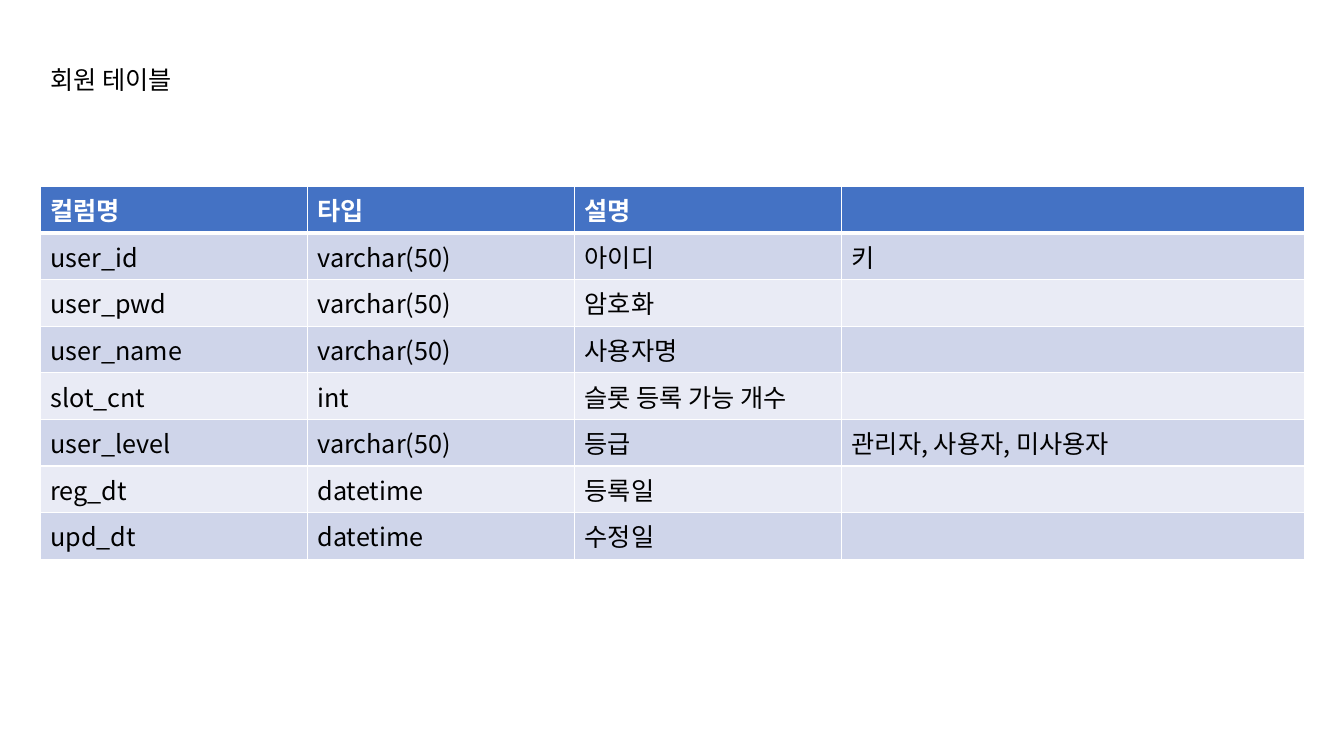
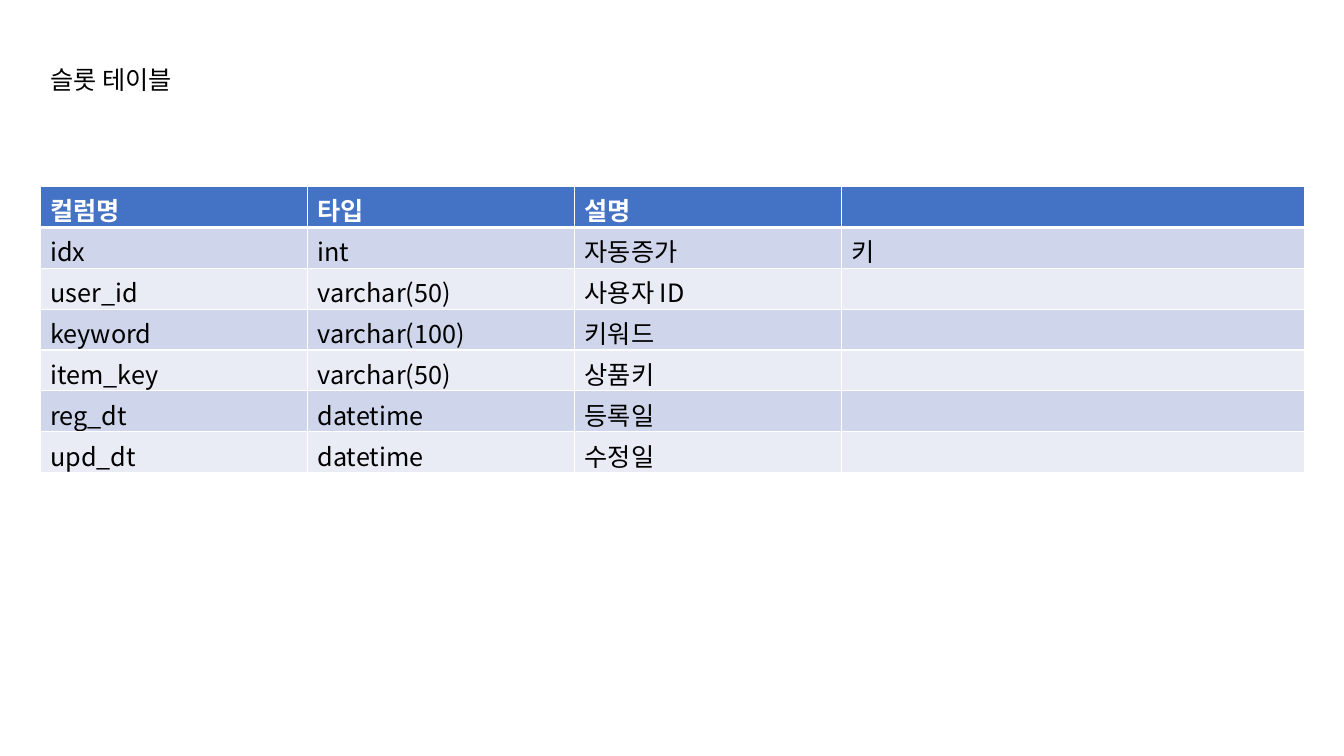
from lxml.etree import SubElement
from pptx import Presentation
from pptx.dml.color import RGBColor
from pptx.enum.text import MSO_ANCHOR, MSO_AUTO_SIZE
from pptx.oxml.ns import qn
from pptx.util import Pt

WHITE, BLACK = "FFFFFF", "000000"
HEADER_FILL = "4472C4"
BAND_FILLS = ("CFD5EA", "E9EBF5")
FONT = {"name": "Noto Sans CJK KR", "size": Pt(18)}

LEFT = 28.8
TITLE_TOP, TITLE_WIDTH, TITLE_HEIGHT = 42.5, 111.6, 29
TABLE_TOP, ROW_HEIGHT = 133.2, 29.2
COLUMN_WIDTHS = (190.8, 190.8, 190.8, 330.8)
THIN, THICK = 1, 3

HEADER = ("컬럼명", "타입", "설명", "")
DATE_ROWS = [
    ("reg_dt", "datetime", "등록일", ""),
    ("upd_dt", "datetime", "수정일", ""),
]
SCHEMAS = {
    "회원 테이블": [
        ("user_id", "varchar(50)", "아이디", "키"),
        ("user_pwd", "varchar(50)", "암호화", ""),
        ("user_name", "varchar(50)", "사용자명", ""),
        ("slot_cnt", "int", "슬롯 등록 가능 개수", ""),
        ("user_level", "varchar(50)", "등급", "관리자, 사용자, 미사용자"),
        *DATE_ROWS,
    ],
    "슬롯 테이블": [
        ("idx", "int", "자동증가", "키"),
        ("user_id", "varchar(50)", "사용자 ID", ""),
        ("keyword", "varchar(100)", "키워드", ""),
        ("item_key", "varchar(50)", "상품키", ""),
        *DATE_ROWS,
    ],
}


def rgb(value):
    return RGBColor.from_string(value)


def write(frame, text, color, bold=False):
    """Put one formatted run in the frame, for Latin and Korean letters alike."""
    paragraph = frame.paragraphs[0]
    if not text:
        paragraph.font.size = FONT["size"]
        return
    run = paragraph.add_run()
    run.text = text
    for attribute, value in {**FONT, "bold": bold}.items():
        setattr(run.font, attribute, value)
    run.font.color.rgb = rgb(color)
    SubElement(run.font._element, qn("a:ea"), typeface=FONT["name"])


def add_title(slide, text):
    title = slide.shapes.add_textbox(
        Pt(LEFT), Pt(TITLE_TOP), Pt(TITLE_WIDTH), Pt(TITLE_HEIGHT))
    frame = title.text_frame
    frame.word_wrap = False
    frame.auto_size = MSO_AUTO_SIZE.SHAPE_TO_FIT_TEXT
    write(frame, text, BLACK)


def set_borders(cell, top, bottom):
    widths = {"lnL": THIN, "lnR": THIN, "lnT": top, "lnB": bottom}
    properties = cell._tc.get_or_add_tcPr()
    for side, width in widths.items():
        line = SubElement(properties, qn(f"a:{side}"), w=str(Pt(width)))
        fill = SubElement(line, qn("a:solidFill"))
        SubElement(fill, qn("a:srgbClr"), val=WHITE)


def fill_cell(cell, text, row_index):
    is_header = row_index == 0
    set_borders(cell,
                top=THICK if row_index == 1 else THIN,
                bottom=THICK if is_header else THIN)
    cell.fill.solid()
    cell.fill.fore_color.rgb = rgb(
        HEADER_FILL if is_header else BAND_FILLS[(row_index - 1) % 2])
    cell.vertical_anchor = MSO_ANCHOR.TOP
    write(cell.text_frame, text, WHITE if is_header else BLACK, is_header)


def add_schema(slide, columns):
    rows = [HEADER, *columns]
    schema = slide.shapes.add_table(
        len(rows), len(HEADER), Pt(LEFT), Pt(TABLE_TOP),
        Pt(sum(COLUMN_WIDTHS)), Pt(ROW_HEIGHT * len(rows))).table
    for column, width in zip(schema.columns, COLUMN_WIDTHS):
        column.width = Pt(width)
    for row_index, texts in enumerate(rows):
        schema.rows[row_index].height = Pt(ROW_HEIGHT)
        for cell, text in zip(schema.rows[row_index].cells, texts):
            fill_cell(cell, text, row_index)


def main():
    deck = Presentation()
    deck.slide_width, deck.slide_height = Pt(960), Pt(540)
    blank = deck.slide_layouts[6]
    for title, columns in SCHEMAS.items():
        slide = deck.slides.add_slide(blank)
        add_schema(slide, columns)
        add_title(slide, title)
    deck.save("out.pptx")


if __name__ == "__main__":
    main()
